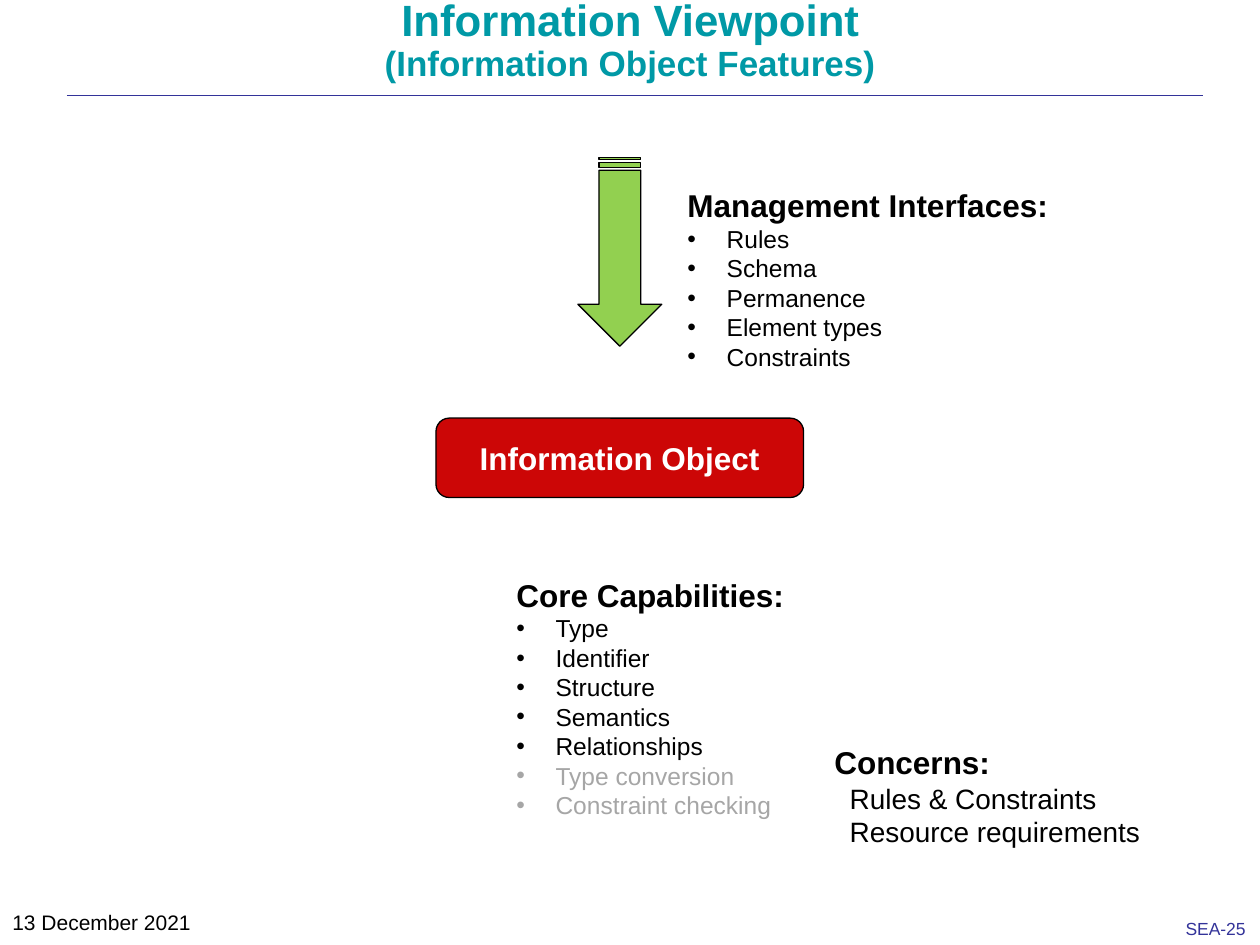
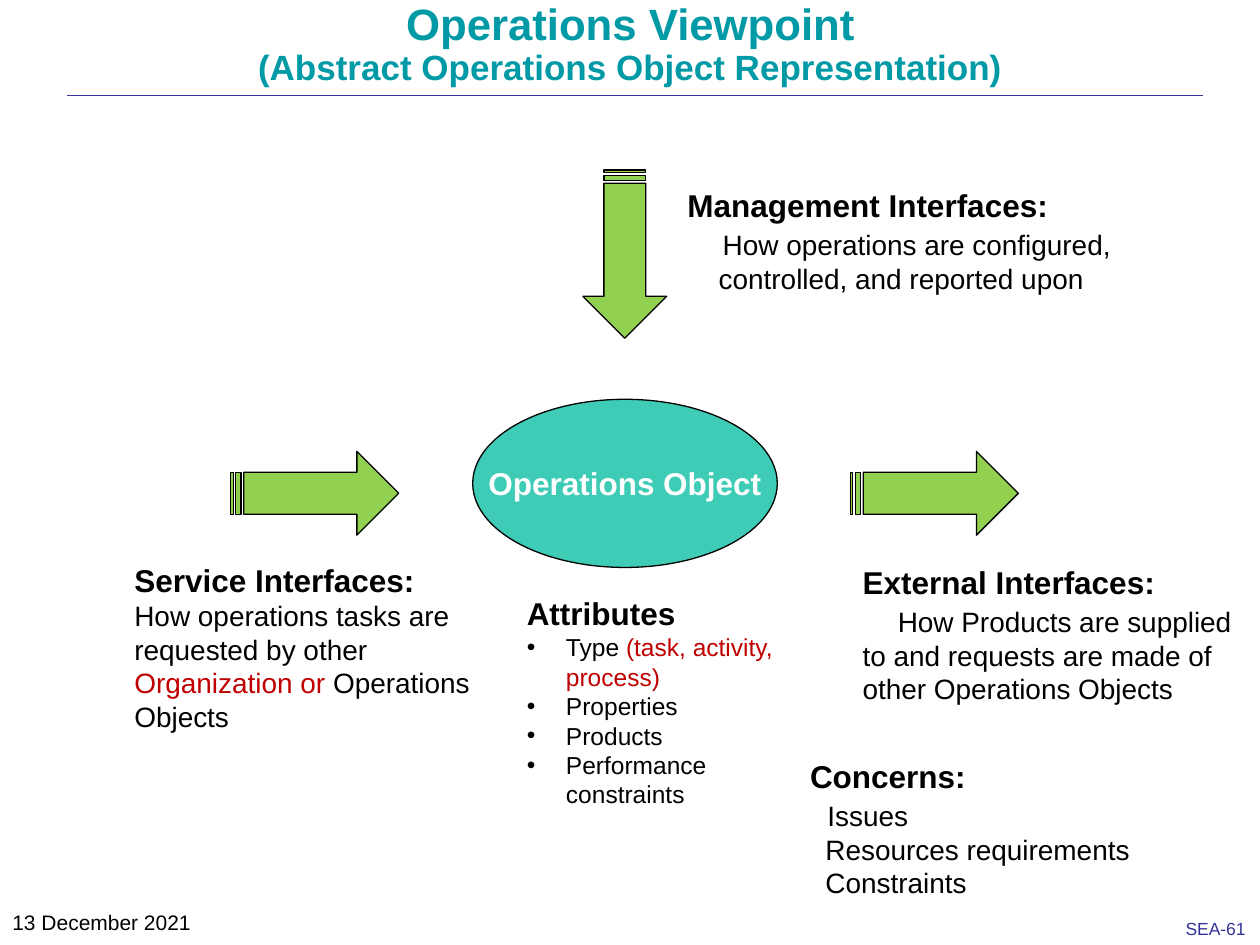
from dataclasses import dataclass

from lxml.etree import SubElement as SubEl
from pptx import Presentation
from pptx.dml.color import RGBColor
from pptx.enum.shapes import MSO_CONNECTOR as Link, MSO_SHAPE as Form
from pptx.enum.text import MSO_ANCHOR as Anchor, MSO_AUTO_SIZE as Fit, PP_ALIGN as Align
from pptx.oxml.ns import qn
from pptx.util import Cm, Pt

FONT = "Arial"
BLACK = RGBColor(0x00, 0x00, 0x00)
WHITE = RGBColor(0xFF, 0xFF, 0xFF)
NAVY = RGBColor(0x33, 0x33, 0x99)
TEAL = RGBColor(0x00, 0x99, 0xA6)
RED = RGBColor(0xCC, 0x06, 0x06)
DARK_RED = RGBColor(0xC0, 0x00, 0x00)
GREEN = RGBColor(0x92, 0xD0, 0x50)
MINT = RGBColor(0x3F, 0xCC, 0xB6)
GREY = RGBColor(0xA6, 0xA6, 0xA6)


@dataclass(frozen=True)
class Run:
    text: str
    size: int
    color: RGBColor = BLACK
    bold: bool = False


@dataclass(frozen=True)
class Para:
    """A paragraph; left, first (indents) are in cm and before is in points."""
    runs: tuple[Run, ...]
    left: float = 0
    first: float = 0
    before: float = 0
    bullet: bool = False
    align: Align | None = None
    lead: float | None = None


@dataclass(frozen=True)
class Area:
    """Left, top, width and height in cm."""
    x: float
    y: float
    w: float
    h: float

    def emu(self) -> tuple[Cm, ...]:
        return Cm(self.x), Cm(self.y), Cm(self.w), Cm(self.h)


@dataclass(frozen=True)
class Note:
    area: Area
    paras: tuple[Para, ...]
    wrap: bool = False
    grow: bool = True


@dataclass(frozen=True)
class Node:
    form: Form
    area: Area
    fill: RGBColor
    label: str = ""
    turn: int = 0


@dataclass(frozen=True)
class Page:
    title: str
    under: str
    top: float
    number: str
    nodes: tuple[Node, ...]
    notes: tuple[Note, ...]


def head(text: str) -> Para:
    return Para((Run(text, 18, bold=True),))


def body(*runs: Run, left: float = 0, first: float = 0, before: float = 0) -> Para:
    return Para(runs, left, first, before)


def plain(text: str, color: RGBColor = BLACK) -> Run:
    return Run(text, 16, color)


def point(*runs: Run) -> Para:
    return Para(runs, 0.79, -0.79, bullet=True)


def points(*texts: str, color: RGBColor = BLACK) -> tuple[Para, ...]:
    return tuple(point(Run(text, 14, color)) for text in texts)


def arrow(x: float, y: float, w: float, turn: int = 0) -> Node:
    return Node(Form.STRIPED_RIGHT_ARROW, Area(x, y, w, 1.69), GREEN, turn=turn)


def write(frame, paras: tuple[Para, ...]) -> None:
    for i, para in enumerate(paras):
        line = frame.paragraphs[0] if i == 0 else frame.add_paragraph()
        props = line._p.get_or_add_pPr()
        props.set("marL", str(Cm(para.left)))
        props.set("indent", str(Cm(para.first)))
        if para.bullet:
            SubEl(props, qn("a:buFont")).set("typeface", FONT)
            SubEl(props, qn("a:buChar")).set("char", "•")
        if para.align is not None:
            line.alignment = para.align
        if para.lead:
            line.line_spacing = para.lead
        if para.before:
            line.space_before = Pt(para.before)
        for part in para.runs:
            run = line.add_run()
            run.text = part.text
            run.font.name = FONT
            run.font.size = Pt(part.size)
            run.font.bold = part.bold
            run.font.color.rgb = part.color


def draw_note(slide, note: Note) -> None:
    frame = slide.shapes.add_textbox(*note.area.emu()).text_frame
    frame.word_wrap = note.wrap
    frame.auto_size = Fit.SHAPE_TO_FIT_TEXT if note.grow else Fit.NONE
    write(frame, note.paras)


def draw_node(slide, node: Node) -> None:
    shape = slide.shapes.add_shape(node.form, *node.area.emu())
    shape.rotation = node.turn
    shape.shadow.inherit = False
    shape.fill.solid()
    shape.fill.fore_color.rgb = node.fill
    shape.line.color.rgb = BLACK
    shape.line.width = Pt(0.75)
    if node.label:
        frame = shape.text_frame
        frame.word_wrap = False
        frame.vertical_anchor = Anchor.MIDDLE
        run = Run(node.label, 18, WHITE, True)
        write(frame, (Para((run,), align=Align.CENTER),))


def draw_frame(slide, page: Page) -> None:
    """Draw the rule, page number, date and title that all slides share."""
    rule = slide.shapes.add_connector(
        Link.STRAIGHT, Cm(1.35), Cm(1.91), Cm(24.26), Cm(1.91))
    rule.line.color.rgb = NAVY
    rule.line.width = Pt(0.13)
    SubEl(rule._element.spPr, qn("a:effectLst"))
    title = tuple(
        Para((Run(text, size, TEAL, True),), align=Align.CENTER, lead=0.9)
        for text, size in ((page.title, 25), (page.under, 20)))
    number = Para((Run(page.number, 10, NAVY),))
    date = Para((Run("13 December 2021", 12),))
    for note in (
        Note(Area(23.65, 18.39, 1.73, 0.66), (number,)),
        Note(Area(0, 18.21, 5.28, 1.27), (date,), True, False),
        Note(Area(3.28, page.top, 18.85, 1.22), title, True, False),
    ):
        draw_note(slide, note)


PAGES = (
    Page(
        "Information Viewpoint", "(Information Object Features)", -0.15, "SEA-25",
        (
            Node(Form.ROUNDED_RECTANGLE, Area(8.79, 8.43, 7.41, 1.6), RED,
                 "Information Object"),
            arrow(10.59, 4.23, 3.81, 90),
        ),
        (
            Note(Area(13.61, 3.63, 7.85, 4.01), (
                head("Management Interfaces:"),
                *points("Rules", "Schema", "Permanence", "Element types",
                        "Constraints"))),
            Note(Area(16.57, 14.86, 6.88, 2.4), (
                head("Concerns:"),
                body(plain("Rules & Constraints"), left=0.31),
                body(plain("Resource requirements"), left=0.31))),
            Note(Area(10.16, 11.48, 5.97, 5.21), (
                head("Core Capabilities:"),
                *points("Type", "Identifier", "Structure", "Semantics",
                        "Relationships"),
                *points("Type conversion", "Constraint checking", color=GREY))),
        ),
    ),
    Page(
        "Operations Viewpoint", "(Abstract Operations Object Representation)",
        -0.06, "SEA-61",
        (
            Node(Form.OVAL, Area(9.53, 8.05, 6.14, 3.39), MINT, "Operations Object"),
            arrow(10.9, 4.28, 3.39, 90),
            arrow(4.65, 9.1, 3.39),
            arrow(17.14, 9.1, 3.39),
        ),
        (
            Note(Area(10.37, 11.86, 6.14, 4.62), (
                head("Attributes"),
                point(Run("Type ", 14),
                      Run("(task, activity, process)", 14, DARK_RED)),
                *points("Properties", "Products", "Performance constraints")),
                wrap=True),
            Note(Area(17.14, 11.23, 7.95, 3.18), (
                head("External Interfaces:"),
                body(plain("How Products are supplied to and requests are made "
                           "of other Operations Objects"), first=0.71, before=2)),
                wrap=True),
            Note(Area(13.61, 3.63, 9.14, 2.49), (
                head("Management Interfaces:"),
                body(plain("How operations are configured,"), left=0.71, before=2),
                body(plain("controlled, and reported upon"), left=0.63))),
            Note(Area(2.46, 11.18, 7.49, 3.76), (
                head("Service Interfaces:"),
                body(plain("How operations tasks are requested by other "),
                     plain("Organization or ", DARK_RED),
                     plain("Operations Objects"))),
                wrap=True),
            Note(Area(16.08, 15.14, 8.38, 3.33), (
                head("Concerns:"),
                body(plain("Issues"), left=0.35, before=2),
                body(plain("Resources requirements"), left=0.31),
                body(plain("Constraints"), left=0.31))),
        ),
    ),
)


def main() -> None:
    deck = Presentation()
    deck.slide_width, deck.slide_height = Cm(25.4), Cm(19.05)
    for page in PAGES:
        slide = deck.slides.add_slide(deck.slide_layouts[6])
        draw_frame(slide, page)
        for node in page.nodes:
            draw_node(slide, node)
        for note in page.notes:
            draw_note(slide, note)
    deck.save("out.pptx")


if __name__ == "__main__":
    main()
